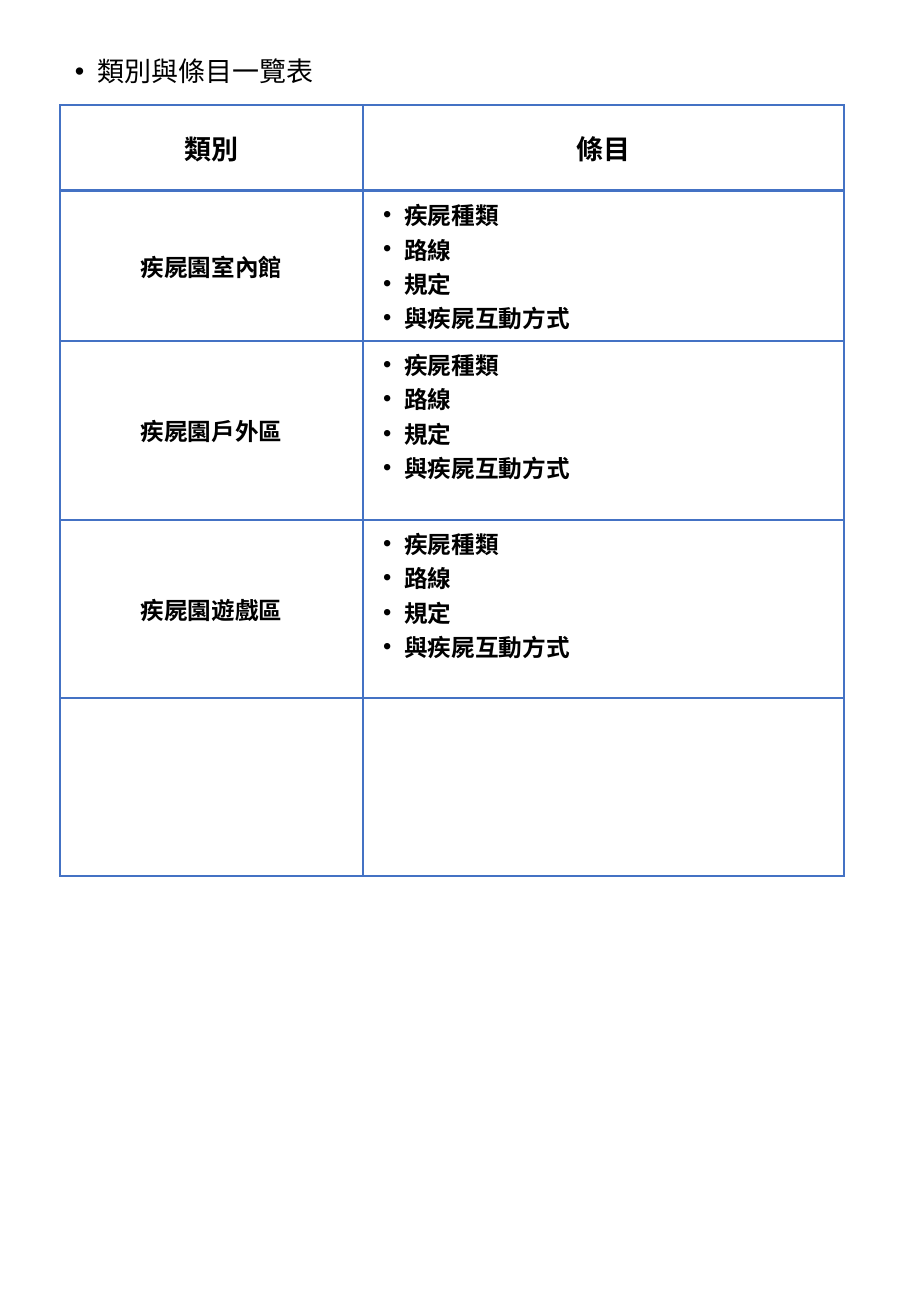
from pptx import Presentation
from pptx.dml.color import RGBColor
from pptx.enum.text import MSO_ANCHOR, PP_ALIGN
from pptx.oxml.ns import qn
from pptx.util import Pt
from lxml import etree

SCALE = 7526  # EMU per pixel
MIDDLE, TOP = MSO_ANCHOR.MIDDLE, MSO_ANCHOR.TOP
CENTER, LEFT = PP_ALIGN.CENTER, PP_ALIGN.LEFT
COLORS = {"text": "000000", "border": "4472C4"}

TITLE = "類別與條目一覽表"
HEADINGS = ["類別", "條目"]
CATEGORIES = ["疾屍園室內館", "疾屍園戶外區", "疾屍園遊戲區"]
ENTRIES = ["疾屍種類", "路線", "規定", "與疾屍互動方式"]
COLUMN_WIDTHS = [303, 481]
ROW_HEIGHTS = [86, 150, 179, 178, 178]

TITLE_FORMAT = {"size": Pt(16), "name": "Calibri", "bold": False}
HEADING_FORMAT = {"size": Pt(16), "name": "Calibri", "bold": True}
CATEGORY_FORMAT = {"size": Pt(14), "name": "Calibri", "bold": True}
ENTRY_FORMAT = {"size": Pt(14), "name": "Arial", "bold": True}


def px(length):
    return length * SCALE


def add_bullet(para, margin, hanging):
    properties = para._p.get_or_add_pPr()
    properties.set("marL", str(px(margin)))
    properties.set("indent", str(-px(hanging)))
    etree.SubElement(properties, qn("a:buFont")).set("typeface", "Arial")
    etree.SubElement(properties, qn("a:buChar")).set("char", "•")


def write_lines(frame, lines, formats, align):
    for index, line in enumerate(lines):
        para = frame.add_paragraph() if index else frame.paragraphs[0]
        para.alignment = align
        span = para.add_run()
        span.text = line
        for name, value in formats.items():
            setattr(span.font, name, value)
        span.font.color.rgb = RGBColor.from_string(COLORS["text"])


def set_borders(cell, widths):
    properties = cell._tc.get_or_add_tcPr()
    for position, (side, width) in enumerate(widths.items()):
        line = etree.Element(qn(f"a:ln{side}"), w=str(Pt(width)))
        fill = etree.SubElement(line, qn("a:solidFill"))
        etree.SubElement(fill, qn("a:srgbClr")).set("val", COLORS["border"])
        properties.insert(position, line)


def add_title(page, left, top, width, height):
    box = page.shapes.add_textbox(px(left), px(top), px(width), px(height))
    box.text_frame.word_wrap = True
    write_lines(box.text_frame, [TITLE], TITLE_FORMAT, LEFT)
    para = box.text_frame.paragraphs[0]
    para.line_spacing = 0.9
    para.space_before = Pt(7.5)
    add_bullet(para, 23, 23)


def add_category_table(page, left, top):
    table = page.shapes.add_table(
        len(ROW_HEIGHTS), len(COLUMN_WIDTHS), px(left), px(top),
        px(sum(COLUMN_WIDTHS)), px(sum(ROW_HEIGHTS))).table
    table.first_row = table.horz_banding = False
    for column, width in zip(table.columns, COLUMN_WIDTHS):
        column.width = px(width)
    for row, height in zip(table.rows, ROW_HEIGHTS):
        row.height = px(height)

    # Plain cells, with a heavier line under the headings
    for index, row in enumerate(table.rows):
        for cell in row.cells:
            cell.fill.background()
            set_borders(cell, {"L": 1, "R": 1, "T": 2 if index == 1 else 1,
                               "B": 2 if index == 0 else 1})

    # Headings
    for column, heading in enumerate(HEADINGS):
        cell = table.cell(0, column)
        cell.vertical_anchor = MIDDLE
        write_lines(cell.text_frame, [heading], HEADING_FORMAT, CENTER)

    # Categories and their entries; the last row stays empty
    for row, category in enumerate(CATEGORIES, start=1):
        name_cell, entry_cell = table.cell(row, 0), table.cell(row, 1)
        name_cell.vertical_anchor = MIDDLE
        entry_cell.vertical_anchor = TOP
        write_lines(name_cell.text_frame, [category], CATEGORY_FORMAT, CENTER)
        write_lines(entry_cell.text_frame, ENTRIES, ENTRY_FORMAT, LEFT)
        for para in entry_cell.text_frame.paragraphs:
            add_bullet(para, 29, 21)


deck = Presentation()
deck.slide_width, deck.slide_height = px(911), px(1316)
page = deck.slides.add_slide(deck.slide_layouts[6])
add_title(page, 63, 52, 786, 1134)
add_category_table(page, 60, 105)
deck.save("out.pptx")
